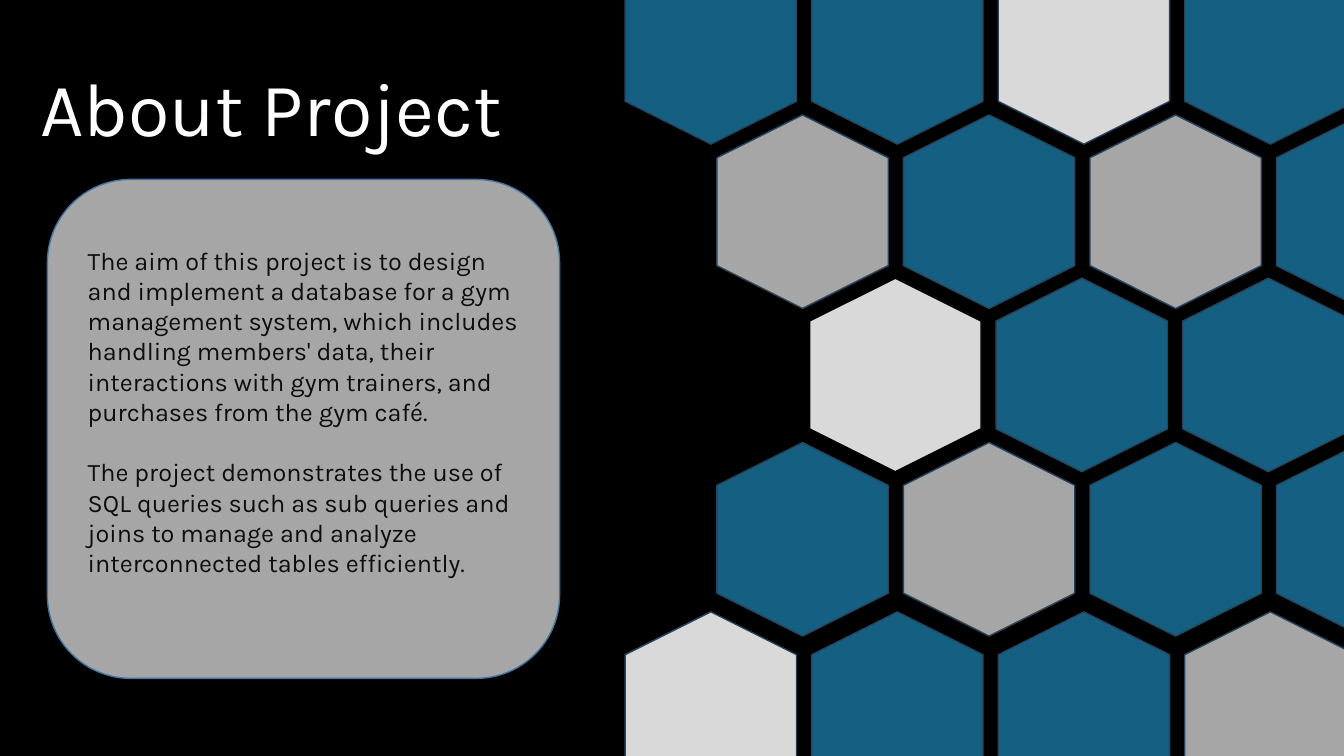
import pptx
import pptx.util
import pptx.dml.color
import pptx.enum.shapes
import pptx.enum.text
import pptx.oxml.ns
import lxml.etree

Inches = pptx.util.Inches
Pt = pptx.util.Pt
SHAPE = pptx.enum.shapes.MSO_SHAPE
ANCHOR = pptx.enum.text.MSO_ANCHOR
FONT = "Karla"
COLORS = {
    "black": "000000",
    "white": "FFFFFF",
    "ink": "0D0D0D",
    "blue": "156082",
    "gray": "A6A6A6",
    "pale": "D9D9D9",
    "edge": "28445D",
    "rim": "43739E",
}
ROWS = [
    (6.09, -0.38, ["blue", "blue", "pale", "blue"]),
    (7.0, 1.25, ["gray", "blue", "gray", "blue"]),
    (7.92, 2.87, ["pale", "blue", "blue"]),
    (7.0, 4.5, ["blue", "gray", "blue", "blue"]),
    (6.09, 6.18, ["pale", "blue", "blue", "gray"]),
]
PITCH = 1.85
AIMS = [
    "The aim of this project is to design and implement a database for a gym "
    "management system, which includes handling members' data, their "
    "interactions with gym trainers, and purchases from the gym café.",
    "The project demonstrates the use of SQL queries such as sub queries and "
    "joins to manage and analyze interconnected tables efficiently.",
]


def color(name):
    return pptx.dml.color.RGBColor.from_string(COLORS[name])


def place(shape, left, top, width, height):
    shape.left, shape.top = Inches(left), Inches(top)
    shape.width, shape.height = Inches(width), Inches(height)


def paint(shape, fill, line):
    shape.shadow.inherit = False
    shape.fill.solid()
    shape.fill.fore_color.rgb = color(fill)
    shape.line.color.rgb = color(line)
    shape.line.width = Pt(1)


def style(par, size, ink):
    par.alignment = pptx.enum.text.PP_ALIGN.LEFT
    par.font.name = FONT
    par.font.size = Pt(size)
    par.font.color.rgb = color(ink)


def fit(frame, anchor):
    frame.word_wrap = True
    frame.auto_size = pptx.enum.text.MSO_AUTO_SIZE.NONE
    frame.vertical_anchor = anchor


def add_title(slide, left, top, width, height):
    title = slide.shapes.title
    place(title, left, top, width, height)
    title.text_frame.text = "About Project"
    fit(title.text_frame, ANCHOR.TOP)
    style(title.text_frame.paragraphs[0], 54, "white")


def add_card(slide, left, top, width, height):
    card = slide.shapes.add_shape(
        SHAPE.ROUNDED_RECTANGLE,
        Inches(left), Inches(top), Inches(width), Inches(height))
    paint(card, "gray", "rim")
    body = slide.placeholders[1]
    body.element.addprevious(card.element)
    place(body, left + 0.3, top + 0.6, width - 0.55, height - 1.52)
    frame = body.text_frame
    frame.text = "\n".join(AIMS)
    fit(frame, ANCHOR.TOP)
    for i, par in enumerate(frame.paragraphs):
        par.space_before = Pt(21.6 * i)
        style(par, 18, "ink")
        props = par.font._element.getparent()
        props.set("marL", "0")
        props.set("indent", "0")
        bullet = lxml.etree.Element(pptx.oxml.ns.qn("a:buNone"))
        par.font._element.addprevious(bullet)


def add_comb(slide, width, height):
    comb = slide.shapes.add_group_shape()
    for left, top, fills in ROWS:
        for i, fill in enumerate(fills):
            cell = comb.shapes.add_shape(
                SHAPE.HEXAGON, Inches(left + i * PITCH), Inches(top),
                Inches(width), Inches(height))
            cell.rotation = 90
            first = left == 7.92 and i == 0
            paint(cell, fill, "black" if first else "edge")


def main():
    deck = pptx.Presentation()
    deck.slide_width, deck.slide_height = Inches(13.33), Inches(7.5)
    slide = deck.slides.add_slide(deck.slide_layouts[1])
    slide.background.fill.solid()
    slide.background.fill.fore_color.rgb = color("black")
    add_title(slide, 0.3, 0.55, 5.9, 1.01)
    add_card(slide, 0.47, 1.78, 5.08, 4.95)
    add_comb(slide, 1.92, 1.7)
    deck.save("out.pptx")


if __name__ == "__main__":
    main()
